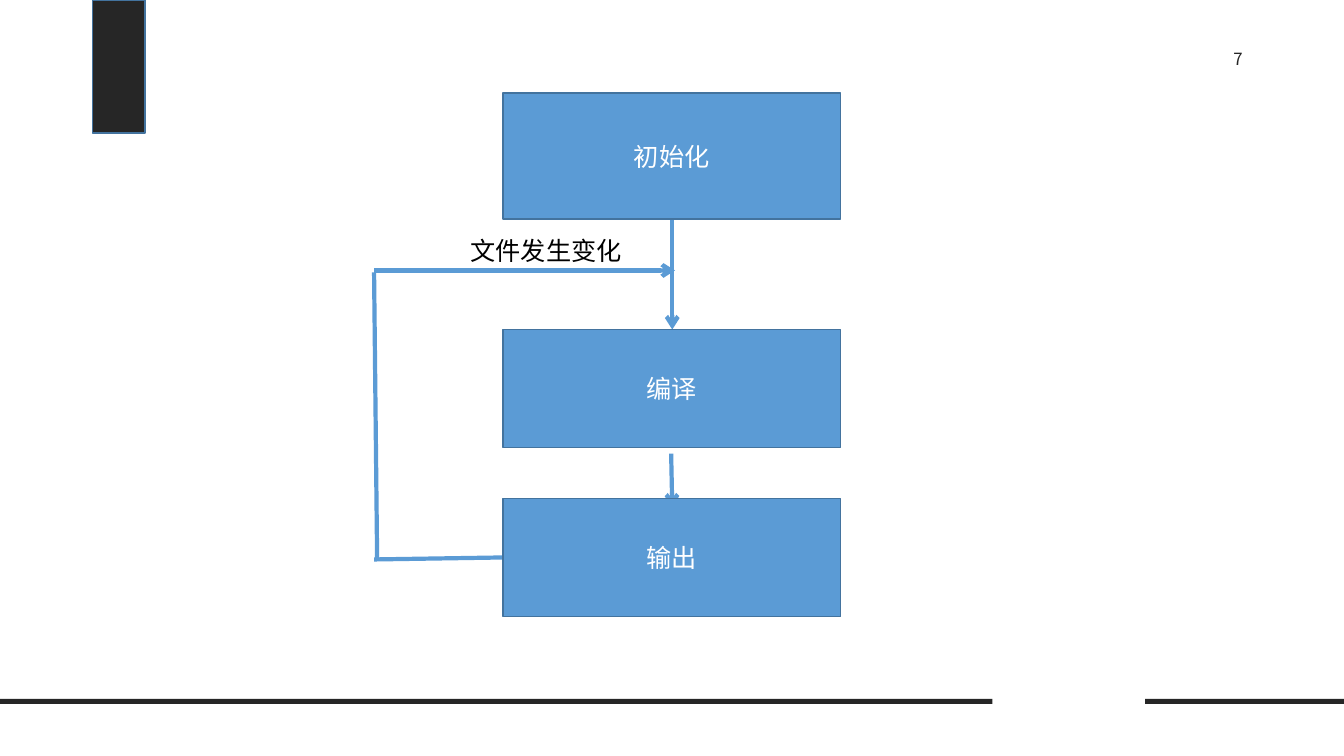
from pptx import Presentation
from pptx.dml.color import RGBColor
from pptx.enum.shapes import MSO_CONNECTOR, MSO_SHAPE
from pptx.enum.text import MSO_ANCHOR, PP_ALIGN
from pptx.oxml.ns import qn
from pptx.util import Pt
from lxml.etree import SubElement

THEME = {
    "dark": "262626", "blue": "5B9BD5", "edge": "43739E",
    "white": "FFFFFF", "black": "000000",
    "font": "DejaVu Sans", "number_font": "Noto Sans CJK SC",
    "size": 18, "number_size": 12, "edge_width": 1, "flow_width": 3,
}

STEPS = [("初始化", 66.4, 90), ("编译", 235.4, 84.4), ("输出", 356.2, 84.4)]
STEP_LEFT, STEP_WIDTH = 359.2, 241.2

FLOWS = [
    ((480.2, 156.4), (480.2, 235.4), True),
    ((479.4, 324), (480.2, 362.6), True),
    ((359.2, 398.2), (267.2, 399.6), False),
    ((269.4, 399.6), (267.2, 194.6), False),
    ((267.2, 193.2), (482.2, 193.2), True),
]

DECOR = [
    ((66, 0, 37.6, 95), "edge"),
    ((0, 499.2, 708.8, 3.6), None),
    ((818, 499.2, 142, 3.6), None),
]

LABELS = [
    ("文件发生变化", (329, 164.2, 142.6, 29),
     {"font": "font", "size": "size", "color": "black", "align": PP_ALIGN.LEFT}),
    ("7", (852, 24.2, 64.8, 36),
     {"font": "number_font", "size": "number_size", "color": "dark", "align": PP_ALIGN.CENTER}),
]
STEP_TEXT = {"font": "font", "size": "size", "color": "white", "align": PP_ALIGN.CENTER}


def color(key):
    return RGBColor.from_string(THEME[key])


def write(sp, text, style):
    tf = sp.text_frame
    tf.word_wrap = True
    tf.vertical_anchor = MSO_ANCHOR.MIDDLE
    p = tf.paragraphs[0]
    p.alignment = style["align"]
    r = p.add_run()
    r.text = text
    name = THEME[style["font"]]
    for attr, value in {"name": name, "size": Pt(THEME[style["size"]])}.items():
        setattr(r.font, attr, value)
    r.font.color.rgb = color(style["color"])
    SubElement(r.font._element, qn("a:ea")).set("typeface", name)


def add_box(s, box, fill, edge):
    sp = s.shapes.add_shape(MSO_SHAPE.RECTANGLE, *map(Pt, box))
    sp.shadow.inherit = False
    sp.fill.solid()
    sp.fill.fore_color.rgb = color(fill)
    if edge:
        sp.line.color.rgb = color(edge)
        sp.line.width = Pt(THEME["edge_width"])
    else:
        sp.line.fill.background()
    return sp


def add_flow(s, start, end, arrow):
    line = s.shapes.add_connector(MSO_CONNECTOR.STRAIGHT, *map(Pt, start + end))
    line.line.color.rgb = color("blue")
    line.line.width = Pt(THEME["flow_width"])
    if arrow:
        SubElement(line.line._get_or_add_ln(), qn("a:tailEnd")).set("type", "arrow")
    SubElement(line._element.spPr, qn("a:effectLst"))


def main():
    prs = Presentation()
    prs.slide_width, prs.slide_height = Pt(960), Pt(540)
    s = prs.slides.add_slide(prs.slide_layouts[6])
    for box, edge in DECOR:
        add_box(s, box, "dark", edge)
    for flow in FLOWS:
        add_flow(s, *flow)
    for text, top, height in STEPS:
        sp = add_box(s, (STEP_LEFT, top, STEP_WIDTH, height), "blue", "edge")
        write(sp, text, STEP_TEXT)
    for text, box, style in LABELS:
        write(s.shapes.add_textbox(*map(Pt, box)), text, style)
    prs.save("out.pptx")


if __name__ == "__main__":
    main()
